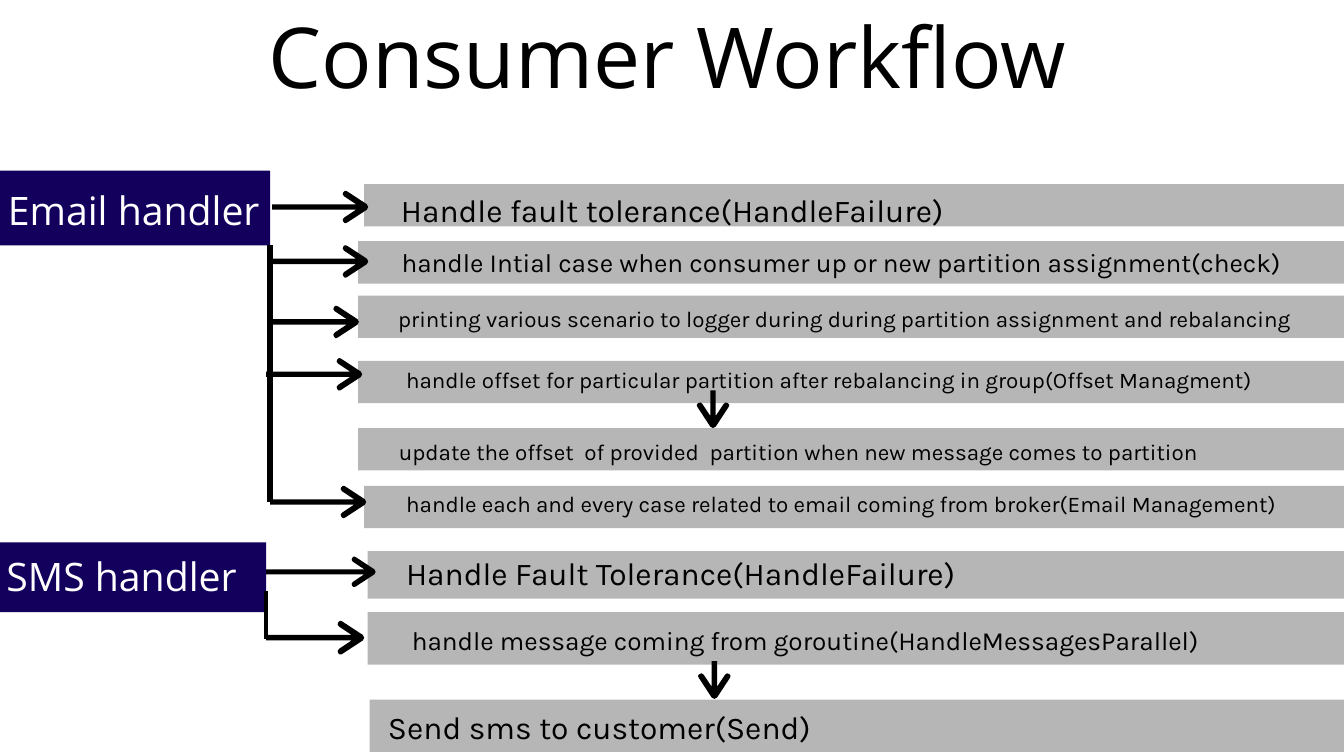
from dataclasses import dataclass

import pptx
import pptx.dml.color
import pptx.enum.shapes
import pptx.enum.text
import pptx.oxml
import pptx.oxml.ns
import pptx.slide
import pptx.text.text
import pptx.util

Inches = pptx.util.Inches
WIDE, HIGH = 20, 11.25
LEAD = 1.4
COLORS = {"navy": "13005D", "gray": "B6B6B6", "black": "000000", "white": "FFFFFF"}
HEAD = [(0.18, 0.04), (0.36, 0.16), (0.38, 0.19), (0.37, 0.22), (0.35, 0.24),
        (0.33, 0.24), (0.31, 0.23), (0.02, 0.04), (0.01, 0.02), (0, 0)]


@dataclass
class Bar:
    left: float
    top: float
    width: float
    height: float
    color: str


@dataclass
class Label:
    left: float
    top: float
    width: float
    size: int
    text: str
    font: str = "Karla"
    color: str = "black"


@dataclass
class Spine:
    x: float
    top: float
    end: float
    weight: float


@dataclass
class Arrow:
    left: float
    mid: float
    length: float
    scale: float = 1
    turn: int = 0


def step(left: float, top: float, height: float = 0.63) -> Bar:
    return Bar(left, top, WIDE - left, height, "gray")


TITLE = Label(0.98, -0.18, 17.9, 90, "Consumer Workflow", "Open Sans")

BARS = [
    Bar(0, 2.54, 4.02, 1.11, "navy"),
    step(5.42, 2.74),
    step(5.33, 3.59),
    step(5.33, 4.4),
    step(5.33, 5.37),
    step(5.33, 6.37),
    step(5.42, 7.23),
    Bar(0, 8.07, 3.96, 1.04, "navy"),
    step(5.47, 8.2, 0.71),
    step(5.47, 9.11, 0.78),
    step(5.5, 10.41, 0.78),
]

LABELS = [
    Label(-0.22, 2.66, 4.42, 42, "Email handler", "Open Sans", "white"),
    Label(4.94, 2.74, 10.13, 34, "Handle fault tolerance(HandleFailure)"),
    Label(4.2, 3.59, 16.63, 28,
          "handle Intial case when consumer up or new partition assignment(check)"),
    Label(4.74, 4.48, 15.65, 24,
          "printing various scenario to logger during during partition assignment and rebalancing"),
    Label(3.48, 5.38, 17.71, 24,
          "handle offset for particular partition after rebalancing in group(Offset Managment)"),
    Label(4.2, 6.45, 15.36, 24,
          "update the offset  of provided  partition when new message comes to partition"),
    Label(5.07, 7.23, 14.89, 24,
          "handle each and every case related to email coming from broker(Email Management)"),
    Label(-0.4, 8.1, 4.42, 42, "SMS handler", "Open Sans", "white"),
    Label(5.59, 8.15, 9.08, 34, "Handle Fault Tolerance(HandleFailure)"),
    Label(5.64, 9.21, 12.68, 28,
          "handle message coming from goroutine(HandleMessagesParallel)"),
    Label(5.59, 10.44, 6.66, 34, "Send sms to customer(Send)"),
]

SPINES = [Spine(4.02, 3.65, 7.47, 6), Spine(3.96, 8.79, 9.51, 4.5)]

ARROWS = [
    Arrow(4.05, 3.08, 1.43),
    Arrow(4.05, 3.89, 1.43),
    Arrow(4.05, 4.79, 1.29),
    Arrow(3.96, 5.57, 1.43),
    Arrow(4.02, 7.47, 1.43),
    Arrow(10.33, 6.09, 0.56, turn=90),
    Arrow(3.96, 8.51, 1.63, 0.94),
    Arrow(3.96, 9.49, 1.46, 1.04),
    Arrow(10.35, 10.12, 0.56, turn=90),
]


def paint(name: str) -> pptx.dml.color.RGBColor:
    return pptx.dml.color.RGBColor.from_string(COLORS[name])


def write(frame: pptx.text.text.TextFrame, label: Label) -> None:
    frame.word_wrap = True
    frame.auto_size = pptx.enum.text.MSO_AUTO_SIZE.NONE
    frame.vertical_anchor = pptx.enum.text.MSO_ANCHOR.TOP
    frame.margin_left = frame.margin_right = 0
    frame.margin_top = frame.margin_bottom = 0
    frame.text = label.text
    line = frame.paragraphs[0]
    line.alignment = pptx.enum.text.PP_ALIGN.CENTER
    line.line_spacing = pptx.util.Pt(label.size * LEAD)
    line.space_before = pptx.util.Pt(0)
    line.font.name = label.font
    line.font.size = pptx.util.Pt(label.size)
    line.font.color.rgb = paint(label.color)


def coat(shape, color: str) -> None:
    shape.shadow.inherit = False
    shape.fill.solid()
    shape.fill.fore_color.rgb = paint(color)
    shape.line.fill.background()


def add_title(slide: pptx.slide.Slide, label: Label) -> None:
    title = slide.shapes.title
    title.left, title.top = Inches(label.left), Inches(label.top)
    title.width, title.height = Inches(label.width), Inches(1.68)
    write(title.text_frame, label)


def add_bar(slide: pptx.slide.Slide, bar: Bar) -> None:
    shape = slide.shapes.add_shape(
        pptx.enum.shapes.MSO_SHAPE.RECTANGLE,
        Inches(bar.left), Inches(bar.top), Inches(bar.width), Inches(bar.height))
    coat(shape, bar.color)


def add_label(slide: pptx.slide.Slide, label: Label) -> None:
    box = slide.shapes.add_textbox(
        Inches(label.left), Inches(label.top),
        Inches(label.width), pptx.util.Pt(label.size * LEAD))
    write(box.text_frame, label)


def add_spine(slide: pptx.slide.Slide, spine: Spine) -> None:
    link = slide.shapes.add_connector(
        pptx.enum.shapes.MSO_CONNECTOR.STRAIGHT,
        Inches(spine.x), Inches(spine.top), Inches(spine.x), Inches(spine.end))
    link.line.width = pptx.util.Pt(spine.weight)
    link.line.color.rgb = paint("black")
    effect = pptx.oxml.parse_xml(f'<a:effectLst {pptx.oxml.ns.nsdecls("a")}/>')
    link._element.spPr.append(effect)


def add_arrow(slide: pptx.slide.Slide, arrow: Arrow) -> None:
    tip = arrow.left + arrow.length
    half = [(tip - back * arrow.scale, side * arrow.scale) for back, side in HEAD]
    half.insert(0, (arrow.left, 0.04 * arrow.scale))
    upper = [(Inches(x), Inches(arrow.mid - y)) for x, y in half]
    lower = [(Inches(x), Inches(arrow.mid + y)) for x, y in half[-2::-1]]
    pen = slide.shapes.build_freeform(*upper[0])
    pen.add_line_segments(upper[1:] + lower, close=True)
    shape = pen.convert_to_shape()
    shape.rotation = arrow.turn
    coat(shape, "black")


def main() -> None:
    deck = pptx.Presentation()
    deck.slide_width, deck.slide_height = Inches(WIDE), Inches(HIGH)
    slide = deck.slides.add_slide(deck.slide_layouts[5])
    add_title(slide, TITLE)
    for bar in BARS:
        add_bar(slide, bar)
    for label in LABELS:
        add_label(slide, label)
    for spine in SPINES:
        add_spine(slide, spine)
    for arrow in ARROWS:
        add_arrow(slide, arrow)
    deck.save("out.pptx")


if __name__ == "__main__":
    main()
